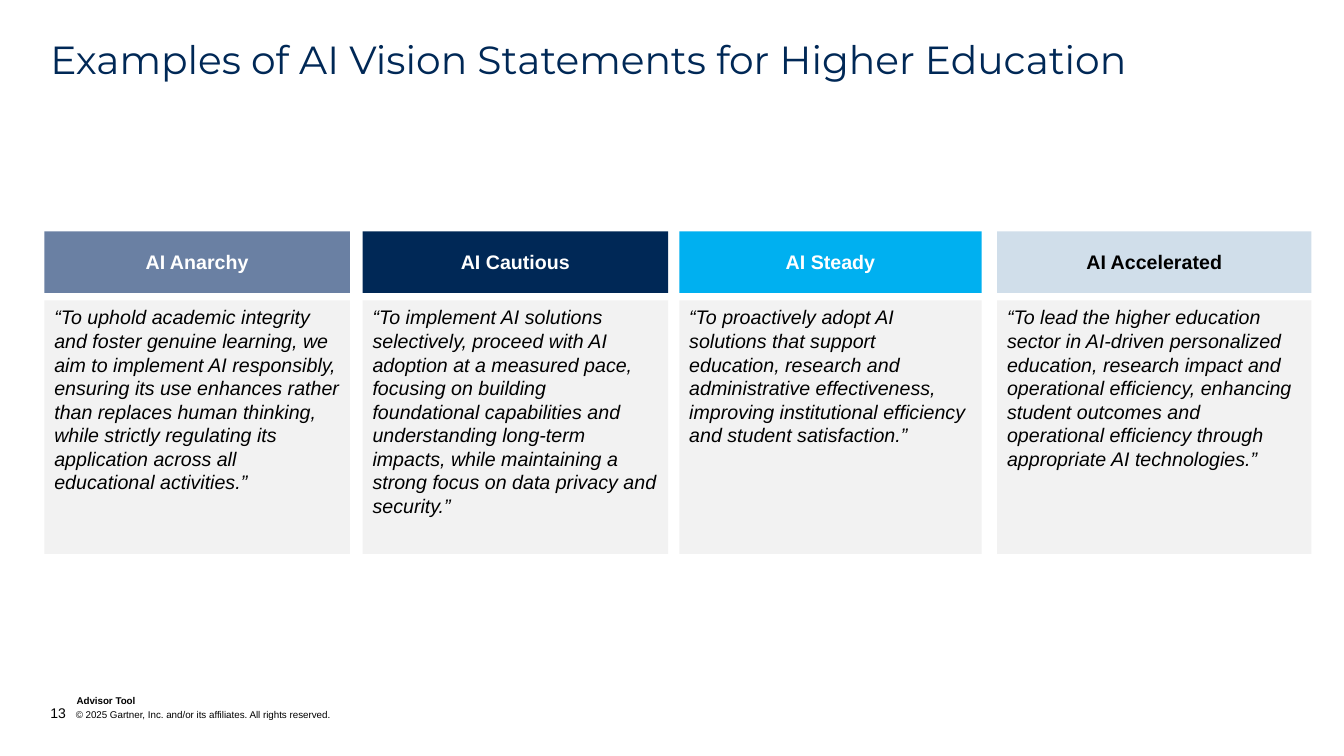
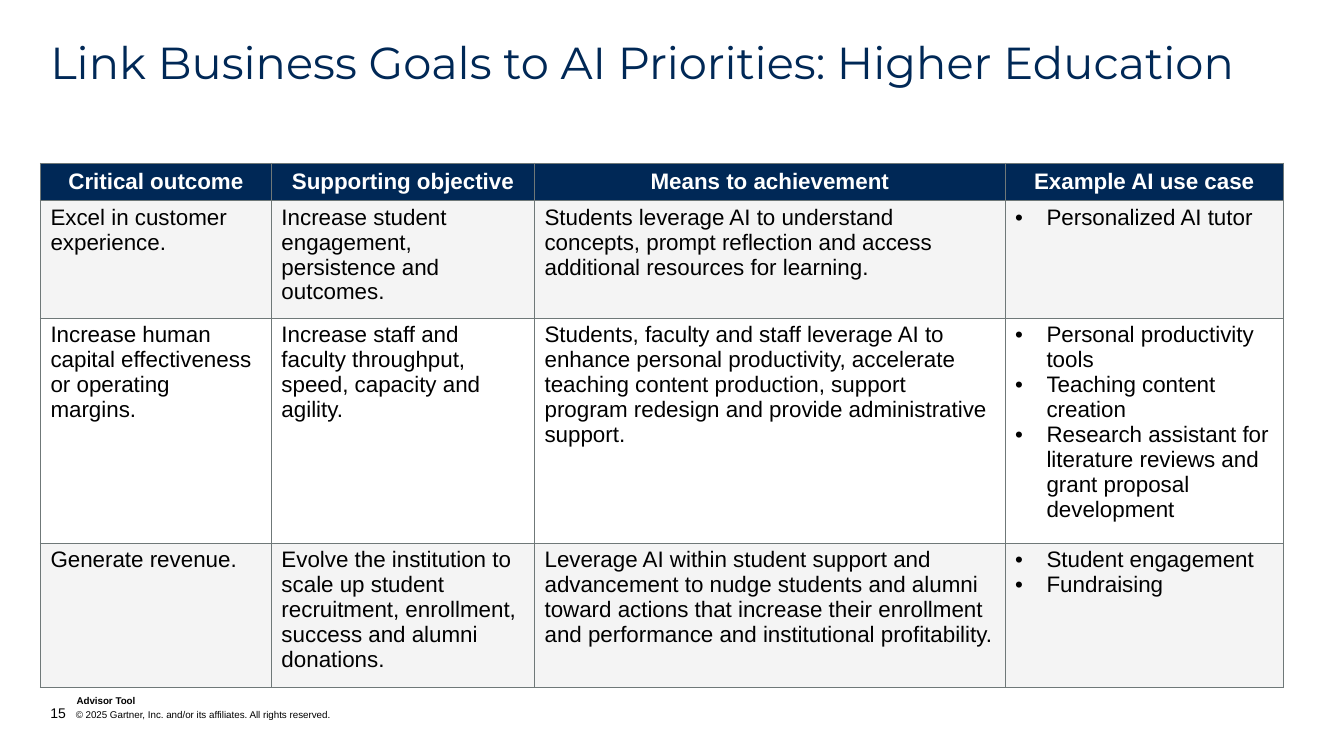
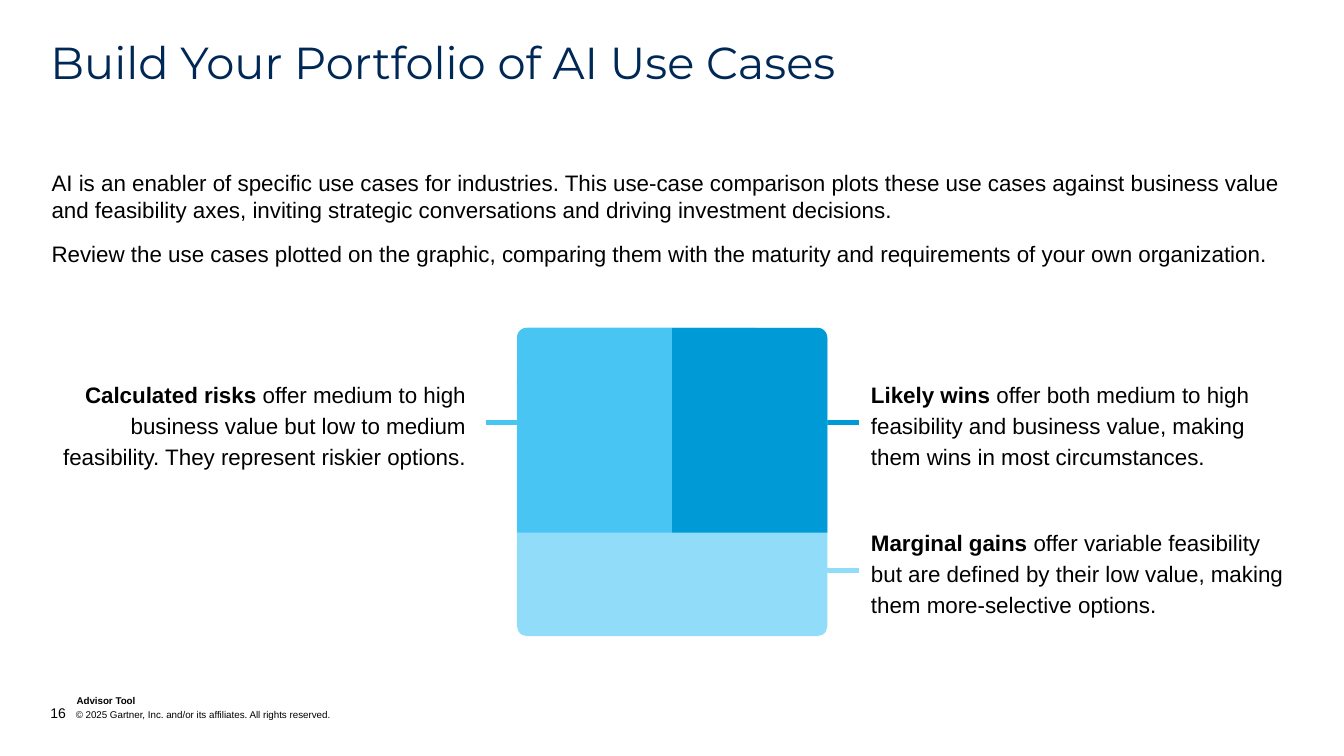
from math import cos, pi, sin

from lxml import etree
from pptx import Presentation
from pptx.dml.color import RGBColor
from pptx.enum.shapes import MSO_CONNECTOR, MSO_SHAPE
from pptx.enum.text import MSO_ANCHOR, PP_ALIGN
from pptx.oxml.ns import qn
from pptx.util import Cm, Pt

LEFT, CENTER, RIGHT = PP_ALIGN.LEFT, PP_ALIGN.CENTER, PP_ALIGN.RIGHT
TOP, MIDDLE, BOTTOM = MSO_ANCHOR.TOP, MSO_ANCHOR.MIDDLE, MSO_ANCHOR.BOTTOM
RECT, ROUND = MSO_SHAPE.RECTANGLE, MSO_SHAPE.ROUNDED_RECTANGLE
STRAIGHT = MSO_CONNECTOR.STRAIGHT

COLORS = {
    "navy": "002856",
    "slate": "6A80A3",
    "bright": "00B0F0",
    "pale": "D0DEEA",
    "panel": "F2F2F2",
    "band": "F4F4F4",
    "rule": "6F7878",
    "risk": "49C5F4",
    "win": "009AD7",
    "gain": "91DCF8",
    "black": "000000",
    "white": "FFFFFF",
}
BODY, HEAD = "Arial", "Montserrat"
EDGE = 1.27
WIDE = 31.32

CARDS = [
    (1.12, 7.7, "AI Anarchy", "slate", "white",
     "“To uphold academic integrity and foster genuine learning, we aim to implement AI "
     "responsibly, ensuring its use enhances rather than replaces human thinking, while "
     "strictly regulating its application across all educational activities.”"),
    (9.14, 7.7, "AI Cautious", "navy", "white",
     "“To implement AI solutions selectively, proceed with AI adoption at a measured pace, "
     "focusing on building foundational capabilities and understanding long-term impacts, "
     "while maintaining a strong focus on data privacy and security.”"),
    (17.12, 7.62, "AI Steady", "bright", "white",
     "“To proactively adopt AI solutions that support education, research and administrative "
     "effectiveness, improving institutional efficiency and student satisfaction.”"),
    (25.13, 7.92, "AI Accelerated", "pale", "black",
     "“To lead the higher education sector in AI-driven personalized education, research "
     "impact and operational efficiency, enhancing student outcomes and operational "
     "efficiency through appropriate AI technologies.”"),
]

GOALS = [
    ["Critical outcome", "Supporting objective", "Means to achievement", "Example AI use case"],
    ["Excel in customer experience.",
     "Increase student engagement, persistence and outcomes.",
     "Students leverage AI to understand concepts, prompt reflection and access additional "
     "resources for learning.",
     "Personalized AI tutor"],
    ["Increase human capital effectiveness or operating margins.",
     "Increase staff and faculty throughput, speed, capacity and agility.",
     "Students, faculty and staff leverage AI to enhance personal productivity, accelerate "
     "teaching content production, support program redesign and provide administrative support.",
     "Personal productivity tools\nTeaching content creation\n"
     "Research assistant for literature reviews and grant proposal development"],
    ["Generate revenue.",
     "Evolve the institution to scale up student recruitment, enrollment, success and alumni "
     "donations.",
     "Leverage AI within student support and advancement to nudge students and alumni toward "
     "actions that increase their enrollment and performance and institutional profitability.",
     "Student engagement\nFundraising"],
]

INTRO = (
    "AI is an enabler of specific use cases for industries. This use-case comparison plots "
    "these use cases against business value and feasibility axes, inviting strategic "
    "conversations and driving investment decisions.\n"
    "Review the use cases plotted on the graphic, comparing them with the maturity and "
    "requirements of your own organization."
)

NOTES = [
    (1.3, 9.5, RIGHT, 12.24, "risk", "Calculated risks",
     " offer medium to high business value but low to medium feasibility. They represent "
     "riskier options."),
    (21.95, 9.5, LEFT, 20.7, "win", "Likely wins",
     " offer both medium to high feasibility and business value, making them wins in most "
     "circumstances."),
    (21.95, 13.23, LEFT, 20.7, "gain", "Marginal gains",
     " offer variable feasibility but are defined by their low value, making them "
     "more-selective options."),
]


def color(name):
    return RGBColor.from_string(COLORS[name])


def style(frame, size, tint="black", bold=False, italic=False, align=LEFT, face=BODY):
    for para in frame.paragraphs:
        para.alignment = align
        for run in para.runs:
            font = run.font
            font.name, font.size = face, Pt(size)
            font.bold, font.italic = bold, italic
            font.color.rgb = color(tint)


def label(slide, box, text, anchor=TOP):
    frame = slide.shapes.add_textbox(*map(Cm, box)).text_frame
    frame.margin_left = frame.margin_right = frame.margin_top = frame.margin_bottom = 0
    frame.word_wrap = True
    frame.vertical_anchor = anchor
    frame.text = text
    return frame


def paint(shape, fill):
    shape.shadow.inherit = False
    shape.fill.solid()
    shape.fill.fore_color.rgb = color(fill)
    shape.line.fill.background()


def block(slide, box, fill, kind=RECT):
    shape = slide.shapes.add_shape(kind, *map(Cm, box))
    paint(shape, fill)
    return shape


def indent(para, size):
    props = para._p.get_or_add_pPr()
    props.set("marL", str(Cm(size)))
    props.set("indent", str(-Cm(size)))
    return props


def base(deck, title, size, number):
    slide = deck.slides.add_slide(deck.slide_layouts[6])
    frame = label(slide, (EDGE, 1.02, 32.5, 1.24), title)
    frame.paragraphs[0].line_spacing = 0.9
    style(frame, size, "navy", face=HEAD)

    frame = label(slide, (1.93, 17.5, 6.43, 0.3), "Advisor Tool", BOTTOM)
    style(frame, 7, bold=True)

    frame = label(slide, (EDGE, 17.75, 20.29, 0.43), str(number), BOTTOM)
    para = frame.paragraphs[0]
    indent(para, 0.64)
    para.add_run().text = "\t© 2025 Gartner, Inc. and/or its affiliates. All rights reserved."
    style(frame, 7)
    para.runs[0].font.size = Pt(10)
    return slide


def card(slide, box, name, fill, tint, quote):
    left, top, width, height = box
    head = block(slide, (left, top, width, 1.55), fill).text_frame
    head.text = name
    head.vertical_anchor = MIDDLE
    style(head, 14, tint, bold=True, align=CENTER)

    body = block(slide, (left, top + 1.74, width, height - 1.74), "panel").text_frame
    body.text = quote
    body.word_wrap = True
    body.vertical_anchor = TOP
    style(body, 14, italic=True)


def border(cell, widths):
    props = cell._tc.get_or_add_tcPr()
    for spot, (side, width) in enumerate(zip("LRTB", widths)):
        line = etree.Element(qn("a:ln" + side), w=str(Pt(width)))
        fill = etree.SubElement(line, qn("a:solidFill"))
        etree.SubElement(fill, qn("a:srgbClr"), val=COLORS["rule"])
        props.insert(spot, line)


def bullet(para):
    props = indent(para, 0.79)
    etree.SubElement(props, qn("a:buFont"), typeface=BODY)
    etree.SubElement(props, qn("a:buChar"), char="•")


def grid(slide, box, cols, rows):
    table = slide.shapes.add_table(len(rows), len(cols), *map(Cm, box)).table
    table.first_row = table.horz_banding = False
    for col, width in zip(table.columns, cols):
        col.width = Cm(width)
    for row, height in zip(table.rows, rows):
        row.height = Cm(height)
    last = len(cols) - 1
    for r, texts in enumerate(GOALS):
        for c, text in enumerate(texts):
            cell = table.cell(r, c)
            cell.text = text
            cell.fill.solid()
            fill = "navy" if r == 0 else "band" if r % 2 else "white"
            cell.fill.fore_color.rgb = color(fill)
            edges = (c == 0, c == last, r == 0, False)
            border(cell, [1 if edge else 0.25 for edge in edges])
            if r == 0:
                cell.vertical_anchor = MIDDLE
                style(cell.text_frame, 16, "white", bold=True, align=CENTER)
                continue
            if c == last:
                for para in cell.text_frame.paragraphs:
                    bullet(para)
            style(cell.text_frame, 16)


def tile(slide, outer, top, width, height, radius, fill):
    side = 1 if width > 0 else -1
    inner = outer + width
    turns = [step * pi / 16 for step in range(9)]
    arc = [(outer + side * radius * (1 - sin(turn)), top + radius * (1 - cos(turn)))
           for turn in turns]
    points = [(Cm(x), Cm(y)) for x, y in
              arc + [(outer, top + height), (inner, top + height)]]
    path = slide.shapes.build_freeform(Cm(inner), Cm(top))
    path.add_line_segments(points, close=True)
    paint(path.convert_to_shape(), fill)


def chart(slide, box):
    left, top, width, height = box
    radius = 0.25
    square = block(slide, box, "gain", ROUND)
    square.adjustments[0] = radius / height
    half, tall = width / 2, 5.16
    tile(slide, left, top, half, tall, radius, "risk")
    tile(slide, left + width, top, -half, tall, radius, "win")


def note(slide, box, align, start, tint, lead, rest):
    left, top, width, height = box
    frame = label(slide, box, lead)
    para = frame.paragraphs[0]
    para.add_run().text = rest
    para.line_spacing = 1.15
    style(frame, 16, align=align)
    para.runs[0].font.bold = True

    level = Cm(top + height / 2)
    line = slide.shapes.add_connector(STRAIGHT, Cm(start), level, Cm(start + 0.95), level)
    line.line.color.rgb = color(tint)
    line.line.width = Pt(3)
    etree.SubElement(line._element.spPr, qn("a:effectLst"))


def vision(deck):
    slide = base(deck, "Examples of AI Vision Statements for Higher Education", 28, 13)
    for left, width, *parts in CARDS:
        card(slide, (left, 5.83, width, 8.13), *parts)


def goals(deck):
    slide = base(deck, "Link Business Goals to AI Priorities: Higher Education", 32, 15)
    grid(slide, (1.02, 4.11, WIDE, 12.34), (5.82, 6.63, 11.86, 7.01), (0.91, 2.77, 5.26, 3.4))


def cases(deck):
    slide = base(deck, "Build Your Portfolio of AI Use Cases", 32, 16)
    frame = label(slide, (1.3, 4.27, WIDE, 2.87), INTRO)
    style(frame, 16)
    frame.paragraphs[1].space_before = Pt(12)
    for left, top, *parts in NOTES:
        note(slide, (left, top, 10.44, 2.29), *parts)
    chart(slide, (13.03, 8.26, 7.82, 7.77))


def main():
    deck = Presentation()
    deck.slide_width, deck.slide_height = Cm(33.87), Cm(19.05)
    vision(deck)
    goals(deck)
    cases(deck)
    deck.save("out.pptx")


if __name__ == "__main__":
    main()
